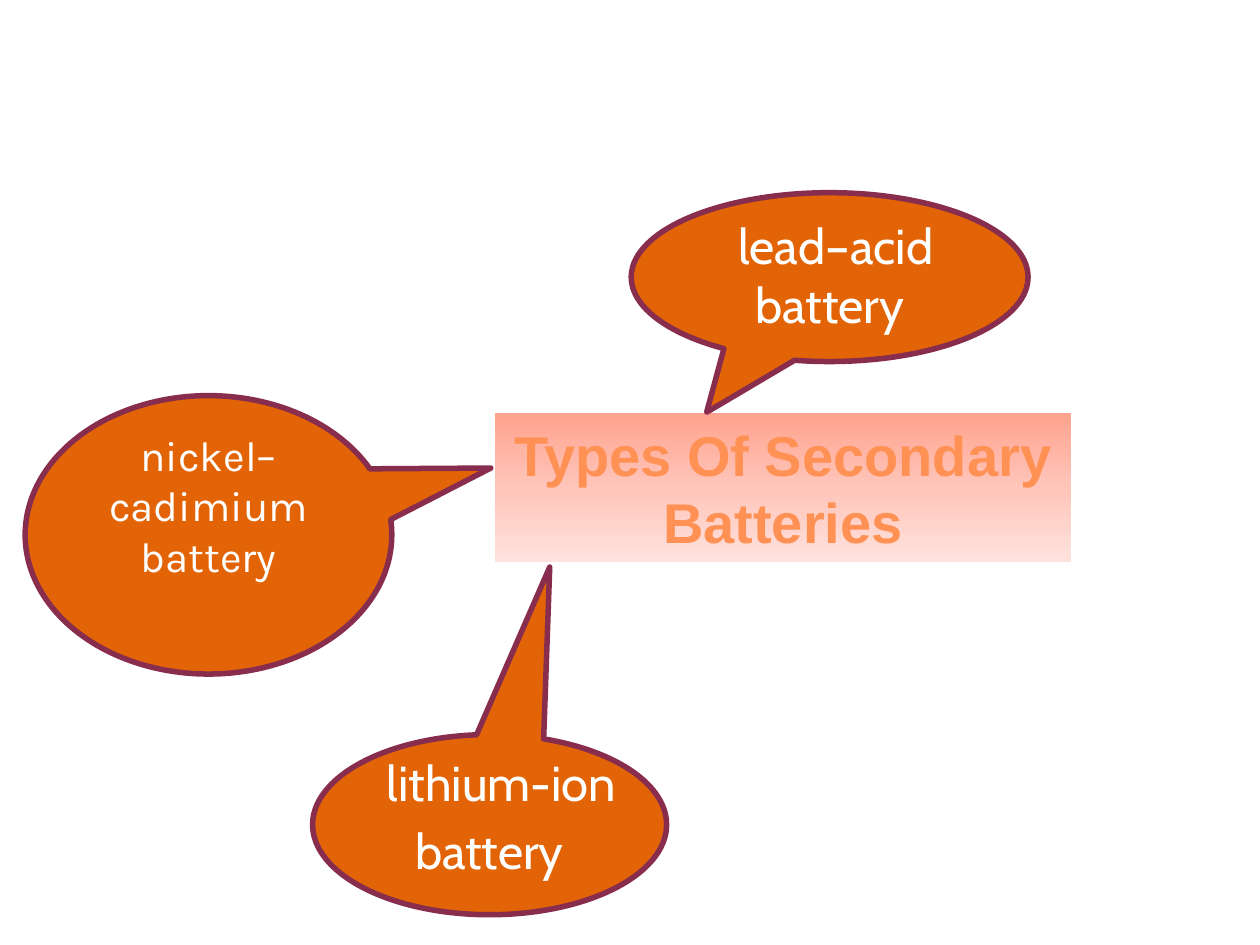
from copy import deepcopy
from pptx import Presentation
from pptx.dml.color import RGBColor
from pptx.enum.shapes import MSO_SHAPE as Kind
from pptx.enum.text import MSO_AUTO_SIZE as Fit, PP_ALIGN as Align
from pptx.oxml.ns import qn
from pptx.util import Inches, Pt


def paint(part, color):
    part.solid()
    part.fore_color.rgb = RGBColor.from_string(color)


def place(box):
    return [Inches(side) for side in box]


def write(shape, runs, bold=False):
    frame = shape.text_frame
    frame.word_wrap = True
    frame.auto_size = Fit.SHAPE_TO_FIT_TEXT
    para = frame.paragraphs[0]
    para.alignment = Align.CENTER
    for text, font, size, color in runs:
        run = para.add_run()
        run.text = text
        run.font.name = font
        run.font.size = Pt(size)
        run.font.bold = bold
        paint(run.font.fill, color)


def blend(shape, colors):
    fill = shape.fill
    fill.gradient()
    fill.gradient_angle = 270
    stops = next(shape._element.iter(qn("a:gsLst")))
    stops.insert(1, deepcopy(stops[0]))
    for i, (stop, color) in enumerate(zip(fill.gradient_stops, colors)):
        stop.position = i / (len(colors) - 1)
        stop.color.rgb = RGBColor.from_string(color)


def add_title(slide, box, text):
    shape = slide.shapes.add_shape(Kind.RECTANGLE, *place(box))
    shape.shadow.inherit = False
    shape.line.fill.background()
    blend(shape, ["FFA38E", "FFC5BA", "FFE2DD"])
    write(shape, [(text, "Arial", 32, "FF9154")], bold=True)


def add_bubble(slide, box, tip, turn=0):
    shape = slide.shapes.add_shape(Kind.OVAL_CALLOUT, *place(box))
    shape.shadow.inherit = False
    shape.rotation = turn
    for i, value in enumerate(tip):
        shape.adjustments[i] = value
    paint(shape.fill, "E36406")
    paint(shape.line.fill, "882D4D")
    shape.line.width = Pt(3.15)


def add_label(slide, box, runs):
    write(slide.shapes.add_textbox(*place(box)), runs)


def main():
    deck = Presentation()
    deck.slide_width, deck.slide_height = Inches(10), Inches(7.5)
    slide = deck.slides.add_slide(deck.slide_layouts[6])

    add_title(slide, (3.93, 3.28, 4.57, 1.18), "Types Of Secondary Batteries")
    add_bubble(slide, (5.01, 1.53, 3.15, 1.34), (-0.31, 0.8))
    add_bubble(slide, (0.2, 3.14, 2.91, 2.21), (0.77, -0.24))
    add_bubble(slide, (2.48, 5.83, 2.81, 1.43), (-0.17, 1.43), 180)

    add_label(slide, (5.6, 1.66, 1.97, 1.04), [
        (" ", "Lato", 28, "000000"),
        ("lead–acid battery", "Cabin", 28, "FFFFFF")])
    add_label(slide, (0.73, 3.36, 1.85, 1.31), [
        ("nickel–cadimium battery", "Karla", 24, "FFFFFF")])
    add_label(slide, (2.42, 5.56, 2.93, 1.48), [
        (" ", "Lato", 54, "000000"),
        ("lithium-ion battery", "Cabin", 28, "FFFFFF")])
    deck.save("out.pptx")


if __name__ == "__main__":
    main()
